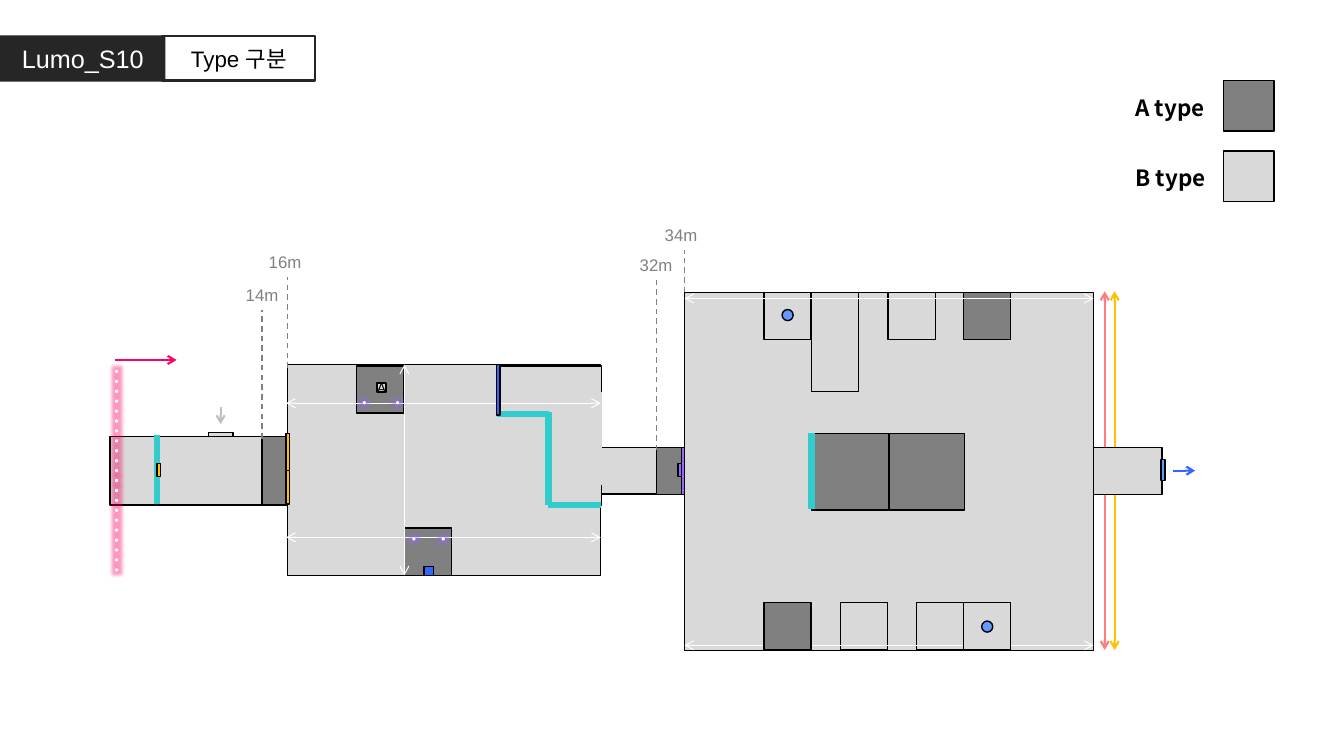
import pptx
import pptx.util
import pptx.dml.color
import pptx.enum.dml
import pptx.enum.shapes
import pptx.enum.text
import pptx.oxml
import pptx.oxml.ns

Cm, Pt = pptx.util.Cm, pptx.util.Pt
RGBColor = pptx.dml.color.RGBColor
RECTANGLE = pptx.enum.shapes.MSO_SHAPE.RECTANGLE
OVAL = pptx.enum.shapes.MSO_SHAPE.OVAL
ALIGN = pptx.enum.text.PP_ALIGN
ANCHOR = pptx.enum.text.MSO_ANCHOR
NAMESPACE = pptx.oxml.ns.nsdecls("a")

COLORS = {
    "a_type": "808080", "b_type": "D9D9D9", "black": "000000", "white": "FFFFFF",
    "title": "262626", "grey": "808080", "pale": "BFBFBF", "cyan": "33CCCC",
    "blue": "3366FF", "sky": "6699FF", "violet": "9966FF", "amber": "FFC000",
    "coral": "FF7C80", "pink": "FF0066",
}

presentation = pptx.Presentation()
presentation.slide_width, presentation.slide_height = Cm(33.87), Cm(19.05)
slide = presentation.slides.add_slide(presentation.slide_layouts[6])


def add_box(fill, left, top, width, height, line="black", weight=1, kind=RECTANGLE):
    shape = slide.shapes.add_shape(kind, Cm(left), Cm(top), Cm(width), Cm(height))
    shape.shadow.inherit = False
    if fill:
        shape.fill.solid()
        shape.fill.fore_color.rgb = RGBColor.from_string(COLORS[fill])
    else:
        shape.fill.background()
    if line:
        shape.line.color.rgb = RGBColor.from_string(COLORS[line])
        shape.line.width = Pt(weight)
    else:
        shape.line.fill.background()
    return shape


def add_line(color, weight, start_x, start_y, end_x, end_y, arrows=(), dashed=False):
    connector = slide.shapes.add_connector(
        pptx.enum.shapes.MSO_CONNECTOR.STRAIGHT,
        Cm(start_x), Cm(start_y), Cm(end_x), Cm(end_y))
    connector.line.color.rgb = RGBColor.from_string(COLORS[color])
    connector.line.width = Pt(weight)
    if dashed:
        connector.line.dash_style = pptx.enum.dml.MSO_LINE.DASH
    outline = connector.line._get_or_add_ln()
    for end in arrows:
        outline.append(pptx.oxml.parse_xml(f'<a:{end} {NAMESPACE} type="arrow"/>'))
    connector._element.spPr.append(pptx.oxml.parse_xml(f"<a:effectLst {NAMESPACE}/>"))


ONE_WAY = ("tailEnd",)
BOTH_WAYS = ("headEnd", "tailEnd")
BOOTH = 1.19
texts = []  # (shape, text, format name)

# Second corridor
add_box("b_type", 15.16, 11.28, 2.01, 1.17)
add_box("a_type", 16.54, 11.28, 0.66, 1.19)

# Title
texts.append((add_box("title", 0, 0.89, 4.17, 1.17, line=None), "Lumo_S10", "title"))
texts.append((add_box(None, 4.09, 0.91, 3.86, 1.12, "title", 1.5), "Type 구분", "subtitle"))

# Legend
for row, (fill, name) in enumerate([("a_type", "A type"), ("b_type", "B type")]):
    top = 2.03 + 1.78 * row
    add_box(fill, 30.84, top, 1.27, 1.27)
    caption = slide.shapes.add_textbox(Cm(28.37), Cm(top + 0.21), Cm(2.72), Cm(0.94))
    texts.append((caption, name, "legend"))

# Main hall with its doors and booths
HALL_LEFT, HALL_RIGHT, HALL_TOP = 17.25, 27.56, 7.37
BOTTOM_BOOTHS = 15.19
add_box("b_type", HALL_LEFT, HALL_TOP, HALL_RIGHT - HALL_LEFT, 9.02)
add_box("violet", 17.09, 11.68, 0.08, 0.33)
add_box("violet", 17.17, 11.28, 0.08, 1.19)
for fill, left, top, height in [
    ("b_type", 19.25, HALL_TOP, BOOTH), ("b_type", 20.45, HALL_TOP, 2.49),
    ("b_type", 22.38, HALL_TOP, BOOTH), ("a_type", 24.28, HALL_TOP, BOOTH),
    ("b_type", 21.18, BOTTOM_BOOTHS, BOOTH), ("b_type", 23.09, BOTTOM_BOOTHS, BOOTH),
]:
    add_box(fill, left, top, BOOTH, height)
add_box("a_type", 20.45, 10.92, 1.96, 1.93)
add_box("a_type", 22.4, 10.92, 1.91, 1.93)
for y in (7.52, 16.26):
    add_line("white", 0.75, HALL_LEFT, y, HALL_RIGHT, y, BOTH_WAYS)
for fill, left in [("a_type", 19.25), ("b_type", 24.28)]:
    add_box(fill, left, BOTTOM_BOOTHS, BOOTH, BOOTH)
for color, x in [("amber", 28.09), ("coral", 27.84)]:
    add_line(color, 1.5, x, 16.38, x, 7.34, BOTH_WAYS)
for left, top in [(19.71, 7.8), (24.74, 15.65)]:
    add_box("sky", left, top, 0.28, 0.28, kind=OVAL)
add_line("cyan", 4.5, 20.45, 10.9, 20.45, 12.83)

# Exit
add_box("b_type", HALL_RIGHT, 11.28, 1.73, 1.19)
add_line("blue", 1.5, 29.57, 11.86, 30.12, 11.86, ONE_WAY)
add_box("sky", 29.26, 11.58, 0.1, 0.53)

# First room and entrance corridor
ROOM_LEFT, ROOM_RIGHT, ROOM_TOP, ROOM_BOTTOM = 7.24, 15.14, 9.19, 14.5
add_box("b_type", ROOM_LEFT, ROOM_TOP, ROOM_RIGHT - ROOM_LEFT, ROOM_BOTTOM - ROOM_TOP)
add_box("b_type", 2.77, 11, 4.45, 1.73)
add_box("b_type", 5.26, 10.9, 0.61, 0.1)
add_line("cyan", 4.5, 3.96, 10.97, 3.96, 12.7)
add_box("amber", 3.96, 11.68, 0.08, 0.33)
add_line("pink", 1.5, 2.9, 9.07, 4.45, 9.07, ONE_WAY)
add_line("pale", 1.5, 5.56, 10.26, 5.56, 10.69, ONE_WAY)
for top in (11.76, 10.92):
    add_box("amber", 7.21, top, 0.08, 0.94)
for left, top in [(8.99, 9.22), (10.19, 13.31)]:
    add_box("a_type", left, top, BOOTH, BOOTH)

# Side space behind the stepped wall
add_box("b_type", 12.52, 9.22, 2.64, 1.19)
add_box("b_type", 13.84, 10.39, 1.32, 2.34)
add_box("b_type", 13.87, 9.88, 1.3, 2.34, line=None)
for y in (10.16, 13.54):
    add_line("white", 0.75, 7.21, y, ROOM_RIGHT, y, BOTH_WAYS)

# Glowing lights: a pink curtain and four violet spots
lights = [("pink", 2.9, 9.32 + 0.25 * step) for step in range(21)]
lights += [("violet", 9.14, 10.11), ("violet", 9.98, 10.11),
           ("violet", 10.39, 13.54), ("violet", 11.13, 13.54)]
for glow, left, top in lights:
    light = add_box("white", left, top, 0.08, 0.08, line=None, kind=OVAL)
    effects = light._element.spPr.find(pptx.oxml.ns.qn("a:effectLst"))
    effects.append(pptx.oxml.parse_xml(
        f'<a:glow {NAMESPACE} rad="{Pt(5)}"><a:srgbClr val="{COLORS[glow]}">'
        '<a:alpha val="40000"/></a:srgbClr></a:glow>'))

# Room measures, stepped wall and devices
add_line("white", 0.75, 10.19, ROOM_TOP, 10.19, ROOM_BOTTOM, BOTH_WAYS)
for wall in [(12.52, 10.44, 13.84, 10.44), (13.82, 10.39, 13.82, 12.73),
             (13.82, 12.73, ROOM_RIGHT, 12.73)]:
    add_line("cyan", 4.5, *wall)
add_box("blue", 10.69, 14.27, 0.23, 0.23)
add_box("blue", 12.52, ROOM_TOP, 0.08, 1.27)
texts.append((add_box("b_type", 9.5, 9.65, 0.23, 0.23), "A", "device"))
add_box("a_type", 6.6, 11, 0.61, 1.73)

# Distance marks
for distance, x, bottom, top, label_left, label_top in [
    ("16m", ROOM_LEFT, 9.27, 6.99, 6.45, 6.22), ("14m", 6.6, 11.05, 7.8, 5.87, 7.06),
    ("34m", HALL_LEFT, 7.37, 6.3, 16.43, 5.54), ("32m", 16.54, 11.35, 7.06, 15.8, 6.3),
]:
    add_line("grey", 1, x, bottom, x, top, dashed=True)
    label = slide.shapes.add_textbox(Cm(label_left), Cm(label_top), Cm(1.47), Cm(0.76))
    texts.append((label, distance, "distance"))

# Text formats: font, colour, alignment, frame
MIDDLE = {"word_wrap": True, "vertical_anchor": ANCHOR.MIDDLE}
TOP = {"word_wrap": True, "vertical_anchor": ANCHOR.TOP}
TIGHT = {"word_wrap": False, "vertical_anchor": ANCHOR.MIDDLE, "margin_left": 0,
         "margin_right": 0, "margin_top": 0, "margin_bottom": 0}
FORMATS = {
    "title": ({"name": "Arial", "size": Pt(18)}, "white", ALIGN.CENTER, MIDDLE),
    "subtitle": ({"name": "Arial", "size": Pt(16)}, "black", ALIGN.CENTER, MIDDLE),
    "legend": ({"name": "Noto Sans CJK KR", "size": Pt(16), "bold": True},
               "black", ALIGN.LEFT, TOP),
    "device": ({"name": "Arial", "size": Pt(10)}, "black", ALIGN.CENTER, TIGHT),
    "distance": ({"name": "Arial", "size": Pt(12)}, "grey", ALIGN.CENTER, TOP),
}
for shape, text, format_name in texts:
    font_values, color, alignment, frame_values = FORMATS[format_name]
    for name, value in frame_values.items():
        setattr(shape.text_frame, name, value)
    paragraph = shape.text_frame.paragraphs[0]
    paragraph.alignment = alignment
    run = paragraph.add_run()
    run.text = text
    for name, value in font_values.items():
        setattr(run.font, name, value)
    run.font.color.rgb = RGBColor.from_string(COLORS[color])

presentation.save("out.pptx")
